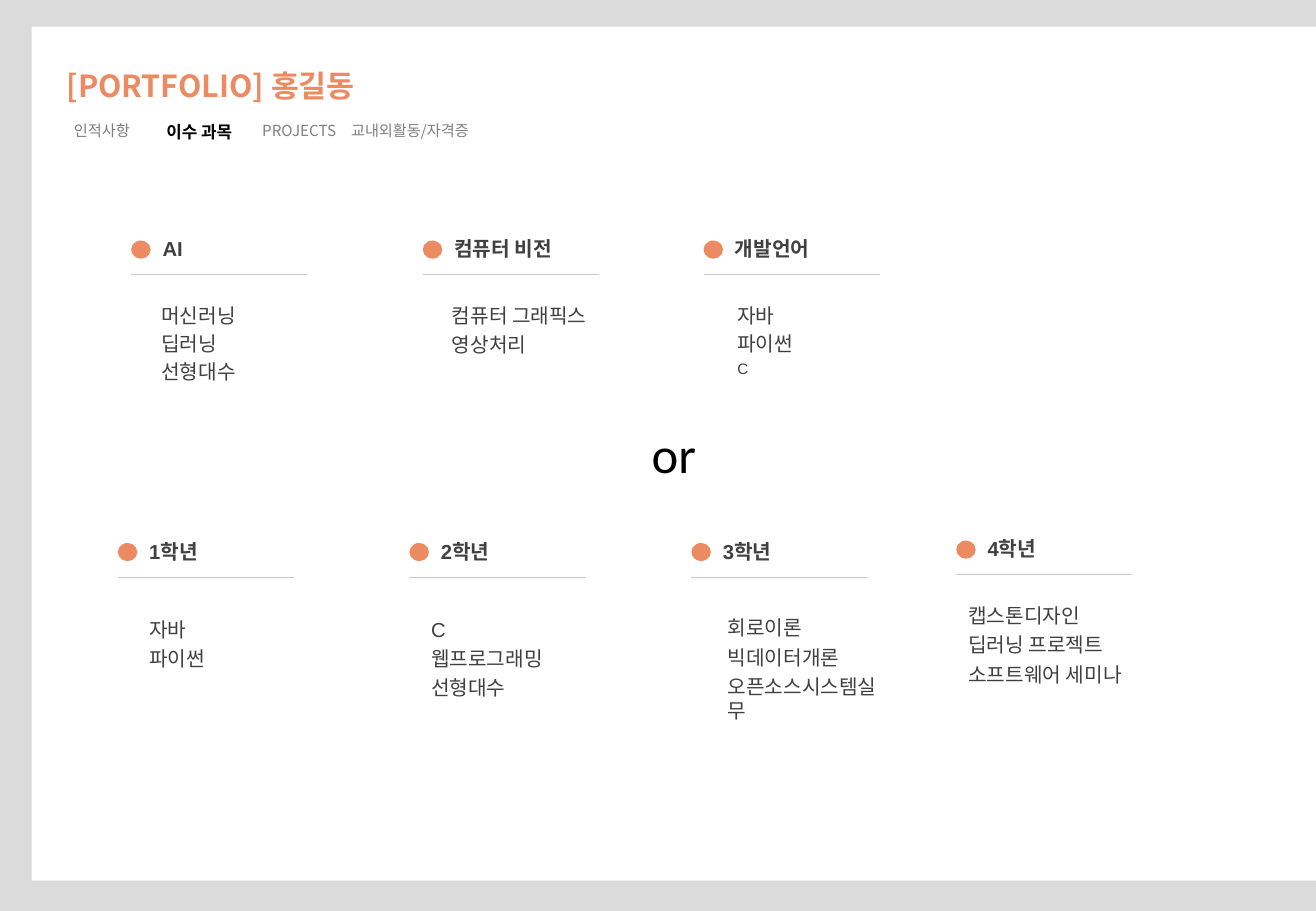
from pptx import Presentation
from pptx.dml.color import RGBColor
from pptx.enum import shapes, text
from pptx.oxml import ns
from pptx.util import Inches, Pt
from lxml import etree

ORANGE, DARK, GRAY, BLACK = "EC8A62", "404040", "808080", "000000"
NOTO = "Noto Sans CJK KR"
ITEM_W = 1.4

# heading, left, top, list left, list top, line pitch, items (wording, width, size)
COURSES = [
    ("AI", 1.08, 1.9, 1.23, 2.45, 0.23,
     [("머신러닝", ITEM_W, 12), ("딥러닝", ITEM_W, 12), ("선형대수", ITEM_W, 12)]),
    ("컴퓨터 비전", 3.48, 1.9, 3.62, 2.45, 0.24,
     [("컴퓨터 그래픽스", 1.66, 12), ("영상처리", ITEM_W, 12)]),
    ("개발언어", 5.79, 1.9, 5.97, 2.45, 0.23,
     [("자바", ITEM_W, 12), ("파이썬", ITEM_W, 12), ("C", ITEM_W, 9)]),
    ("1학년", 0.97, 4.39, 1.13, 5.03, 0.24,
     [("자바", ITEM_W, 12), ("파이썬", ITEM_W, 12)]),
    ("2학년", 3.37, 4.39, 3.45, 5.03, 0.24,
     [("C", ITEM_W, 12), ("웹프로그래밍", 1.57, 12), ("선형대수", ITEM_W, 12)]),
    ("3학년", 5.69, 4.39, 5.89, 5.02, 0.24,
     [("회로이론", ITEM_W, 12), ("빅데이터개론", 1.57, 12),
      ("오픈소스시스템실무", 1.56, 12)]),
    ("4학년", 7.87, 4.37, 7.87, 4.92, 0.24,
     [("캡스톤디자인", ITEM_W, 12), ("딥러닝 프로젝트", 1.83, 12),
      ("소프트웨어 세미나", 1.74, 12)]),
]

# wording, left, width, format
MENU = [
    ("인적사항", 0.51, 1.4, dict(size=9, color="7C7C7C")),
    ("이수 과목", 1.27, 0.91, dict(size=10, color=BLACK, bold=True)),
    ("PROJECTS", 2.06, 1.4, dict(size=9, color=GRAY)),
    ("교내외활동/자격증", 2.79, 1.31, dict(size=9, color=GRAY)),
]


def rgb(color):
    return RGBColor.from_string(color)


def write(p, wording, size=12, color=DARK, name="Arial", bold=False):
    r = p.add_run()
    r.text = wording
    for key, value in dict(size=Pt(size), name=name, bold=bold).items():
        setattr(r.font, key, value)
    r.font.color.rgb = rgb(color)
    ea = etree.SubElement(r.font._element, ns.qn("a:ea"))
    ea.set("typeface", NOTO)


def add_text(slide, box, wording, **fmt):
    sp = slide.shapes.add_textbox(*map(Inches, box))
    tf = sp.text_frame
    tf.word_wrap = True
    tf.auto_size = text.MSO_AUTO_SIZE.SHAPE_TO_FIT_TEXT
    write(tf.paragraphs[0], wording, **fmt)


def add_filled(slide, kind, box, color):
    sp = slide.shapes.add_shape(kind, *map(Inches, box))
    sp.shadow.inherit = False
    sp.fill.solid()
    sp.fill.fore_color.rgb = rgb(color)
    sp.line.fill.background()
    return sp


def add_rule(slide, x, y, width):
    line = slide.shapes.add_connector(
        shapes.MSO_CONNECTOR.STRAIGHT, *map(Inches, (x, y, x + width, y)))
    line.line.color.rgb = rgb("C9C9C9")
    line.line.width = Pt(0.5)
    etree.SubElement(line._element.spPr, ns.qn("a:effectLst"))


def add_page(slide, box):
    """White sheet with the centred word between the two course rows."""
    sp = add_filled(slide, shapes.MSO_SHAPE.RECTANGLE, box, "FFFFFF")
    tf = sp.text_frame
    tf.vertical_anchor = text.MSO_ANCHOR.MIDDLE
    p = tf.paragraphs[0]
    p.alignment = text.PP_ALIGN.CENTER
    write(p, "or", size=30, color=BLACK, name="Calibri")


def add_header(slide, x, y):
    add_text(slide, (x, y, 3.03, 0.47), "[PORTFOLIO] 홍길동",
             size=18, color=ORANGE, name=NOTO, bold=True)
    for wording, left, width, fmt in MENU:
        add_text(slide, (left, y + 0.45, width, 0.25), wording, name=NOTO, **fmt)


def add_heading(slide, x, y, wording):
    add_filled(slide, shapes.MSO_SHAPE.OVAL, (x, y + 0.08, 0.16, 0.15), ORANGE)
    add_text(slide, (x + 0.16, y, 1.4, 0.3), wording, bold=True)
    add_rule(slide, x, y + 0.36, 1.45)


def add_items(slide, x, y, pitch, items):
    for i, (wording, width, size) in enumerate(items):
        add_text(slide, (x, y + i * pitch, width, 0.3), wording, size=size)


def main():
    prs = Presentation()
    prs.slide_width, prs.slide_height = Inches(10.83), Inches(7.5)
    slide = prs.slides.add_slide(prs.slide_layouts[6])
    slide.background.fill.solid()
    slide.background.fill.fore_color.rgb = rgb("DBDBDB")
    add_page(slide, (0.26, 0.22, 10.57, 7.03))
    add_header(slide, 0.45, 0.5)
    for heading, x, y, list_x, list_y, pitch, items in COURSES:
        add_heading(slide, x, y, heading)
        add_items(slide, list_x, list_y, pitch, items)
    prs.save("out.pptx")


if __name__ == "__main__":
    main()
